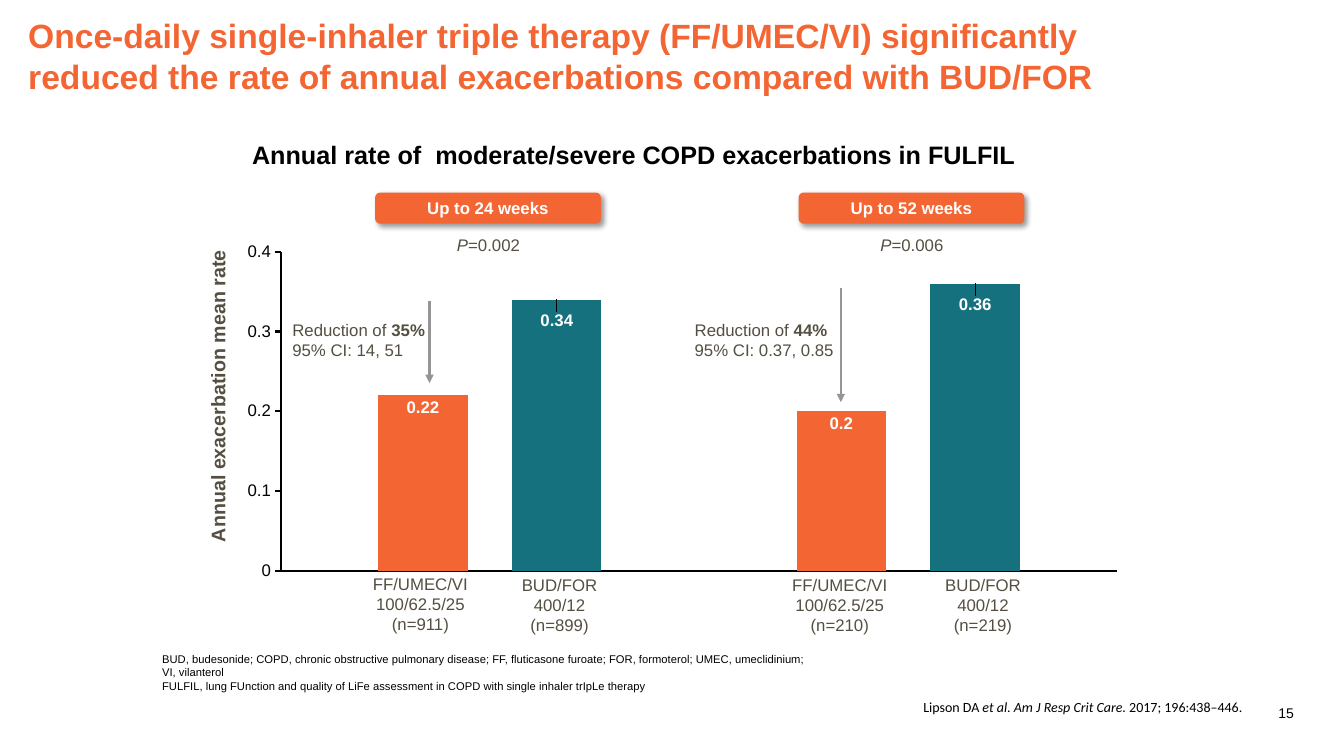
"""Build a slide comparing annual COPD exacerbation rates at 24 and 52 weeks."""
from dataclasses import dataclass
from typing import Any

from pptx import Presentation
from pptx.chart.data import CategoryChartData
from pptx.dml.color import RGBColor
from pptx.enum.chart import XL_CHART_TYPE as Kind, XL_LABEL_POSITION as Spot
from pptx.enum.chart import XL_TICK_LABEL_POSITION as Place, XL_TICK_MARK as Tick
from pptx.enum.shapes import MSO_CONNECTOR as Link, MSO_SHAPE as Form
from pptx.enum.text import MSO_ANCHOR as Anchor, MSO_AUTO_SIZE as Fit, PP_ALIGN as Align
from pptx.oxml import parse_xml
from pptx.oxml.ns import nsdecls
from pptx.util import Inches, Pt

Box = tuple[float, float, float, float]
Run = tuple[str, str]


@dataclass(frozen=True)
class Theme:
    orange: str = "F36633"
    teal: str = "15717D"
    text: str = "544F40"
    black: str = "000000"
    white: str = "FFFFFF"
    gray: str = "959595"
    font: str = "Arial"
    cite: str = "Calibri"
    title: int = 24
    head: int = 18
    axis: int = 14
    body: int = 12
    small: int = 10
    note: int = 8


@dataclass(frozen=True)
class Arm:
    box: Box
    lines: str


@dataclass(frozen=True)
class Period:
    pill: Box
    label: str
    prob: Box
    value: str
    drop: Box
    cut: str
    range: str
    arrow: Box
    arms: tuple[Arm, Arm]


THEME = Theme()
TRIPLE = "FF/UMEC/VI\n100/62.5/25\n(n={})"
DUAL = "BUD/FOR\n400/12\n(n={})"
PERIODS = (
    Period((3.72, 1.91, 2.24, 0.31), "Up to 24 weeks", (4.47, 2.31, 0.75, 0.24), "=0.002",
           (2.9, 3.15, 1.34, 0.44), "35% ", "95% CI: 14, 51", (4.26, 2.99, 4.26, 3.8),
           (Arm((3.69, 5.69, 0.96, 0.61), TRIPLE.format(911)),
            Arm((5.17, 5.7, 0.76, 0.61), DUAL.format(899)))),
    Period((7.92, 1.91, 2.24, 0.31), "Up to 52 weeks", (8.64, 2.31, 0.81, 0.24), "=0.006",
           (6.89, 3.15, 1.43, 0.44), "44% ", "95% CI: 0.37, 0.85", (8.34, 2.86, 8.34, 3.99),
           (Arm((7.85, 5.7, 0.96, 0.61), TRIPLE.format(210)),
            Arm((9.37, 5.7, 0.76, 0.61), DUAL.format(219)))),
)


def style(font: Any, size: int, color: str, bold: bool = False, name: str = THEME.font) -> None:
    font.size, font.bold, font.name = Pt(size), bold, name
    font.color.rgb = RGBColor.from_string(color)


def frame(shape: Any, pad: Box = (0, 0, 0, 0), anchor: Any = Anchor.TOP, wrap: bool = True) -> Any:
    text = shape.text_frame
    text.auto_size, text.word_wrap, text.vertical_anchor = Fit.NONE, wrap, anchor
    text.margin_left, text.margin_top, text.margin_right, text.margin_bottom = map(Inches, pad)
    return text


def write(text: Any, words: str, size: int, color: str, bold: bool = False,
          align: Any = Align.LEFT) -> None:
    text.text = words
    for para in text.paragraphs:
        para.alignment = align
        for run in para.runs:
            style(run.font, size, color, bold)


def mix(text: Any, runs: list[Run], size: int, color: str, align: Any, name: str = THEME.font) -> None:
    para = text.paragraphs[0]
    para.alignment = align
    for words, mark in runs:
        run = para.add_run()
        run.text = words
        style(run.font, size, color, mark == "b", name)
        run.font.italic = mark == "i"


def move(shape: Any, box: Box) -> Any:
    shape.left, shape.top, shape.width, shape.height = map(Inches, box)
    return shape


def label(slide: Any, box: Box) -> Any:
    return slide.shapes.add_textbox(*map(Inches, box))


def block(slide: Any, form: Any, box: Box, color: str) -> Any:
    shape = slide.shapes.add_shape(form, *map(Inches, box))
    shape.shadow.inherit = False
    shape.fill.solid()
    shape.fill.fore_color.rgb = RGBColor.from_string(color)
    shape.line.fill.background()
    return shape


def arrow(slide: Any, ends: Box) -> None:
    line = slide.shapes.add_connector(Link.STRAIGHT, *map(Inches, ends))
    line.line.width = Pt(1.5)
    line.line.color.rgb = RGBColor.from_string(THEME.gray)
    line.line._get_or_add_ln().append(parse_xml(f'<a:tailEnd {nsdecls("a")} type="triangle"/>'))
    line._element.spPr.append(parse_xml(f'<a:effectLst {nsdecls("a")}/>'))


def plain(para: Any) -> None:
    props = para._p.get_or_add_pPr()
    props.set("marL", "0")
    props.set("indent", "0")
    props.append(parse_xml(f'<a:buNone {nsdecls("a")}/>'))
    para.space_before = Pt(0)


def layout(inner: str) -> Any:
    return parse_xml(f'<c:layout {nsdecls("c")}><c:manualLayout>{inner}</c:manualLayout></c:layout>')


def graph(slide: Any) -> None:
    data = CategoryChartData()
    data.categories = ["1", "2"]
    data.add_series("Series 1", (0.22, 0.2))
    data.add_series("Series 2", (0.34, 0.36))
    box = map(Inches, (2.03, 2.31, 9.21, 4.83))
    chart = slide.shapes.add_chart(Kind.COLUMN_CLUSTERED, *box, data).chart
    chart.has_legend = chart.has_title = False
    style(chart.font, THEME.body, THEME.black)
    plot = chart.plots[0]
    plot.gap_width, plot.overlap, plot.vary_by_categories = 219, -50, False
    cat, val = chart.category_axis, chart.value_axis
    cat.tick_label_position = Place.NONE
    cat.major_tick_mark = Tick.NONE
    val.major_tick_mark = Tick.OUTSIDE
    val.minimum_scale, val.maximum_scale, val.major_unit = 0, 0.4, 0.1
    for axis in (cat, val):
        axis.has_major_gridlines = False
        axis.format.line.width = Pt(1.5)
        axis.format.line.color.rgb = RGBColor.from_string(THEME.black)
        style(axis.tick_labels.font, THEME.body, THEME.black)
    for series, color, spot in zip(plot.series, (THEME.orange, THEME.teal),
                                   (Spot.INSIDE_END, Spot.OUTSIDE_END)):
        series.format.fill.solid()
        series.format.fill.fore_color.rgb = RGBColor.from_string(color)
        tags = series.data_labels
        tags.show_value, tags.position = True, spot
        style(tags.font, THEME.body, THEME.white, True)
    dual = plot.series[1]
    for index in range(2):
        tag = dual.points[index].data_label
        style(tag.font, THEME.body, THEME.white, True)
        tag.position = Spot.OUTSIDE_END
    for item in dual._element.xpath(".//c:dLbl"):
        item.insert(1, layout('<c:x val="0"/><c:y val="0.07"/>'))
    dual._element.xpath("./c:dLbls")[0].append(parse_xml(
        f'<c:extLst {nsdecls("c")}><c:ext uri="{{CE6537A1-D6FC-4f65-9D91-7224C49458BB}}" '
        'xmlns:c15="http://schemas.microsoft.com/office/drawing/2012/chart">'
        '<c15:showLeaderLines val="1"/></c:ext></c:extLst>'))
    area = chart._chartSpace.chart.plotArea
    for old in area.xpath("./c:layout"):
        area.remove(old)
    sizes = zip("xywh", (0.082, 0.039, 0.901, 0.655))
    area.insert(0, layout('<c:layoutTarget val="inner"/><c:xMode val="edge"/><c:yMode val="edge"/>'
                          + "".join(f'<c:{key} val="{size}"/>' for key, size in sizes)))


def panel(slide: Any, item: Period) -> None:
    drop = frame(block(slide, Form.RECTANGLE, item.drop, THEME.white), (0, 0.02, 0, 0.02))
    mix(drop, [("Reduction of ", ""), (item.cut, "b"), (item.range, "")],
        THEME.body, THEME.text, Align.LEFT)
    for arm in item.arms:
        write(frame(label(slide, arm.box), wrap=False), arm.lines, THEME.body, THEME.text,
              align=Align.CENTER)
    prob = frame(label(slide, item.prob), (0, 0.02, 0, 0.02))
    mix(prob, [("P", "i"), (item.value, "")], THEME.body, THEME.text, Align.CENTER)
    arrow(slide, item.arrow)
    pill = block(slide, Form.ROUNDED_RECTANGLE, item.pill, THEME.orange)
    pill._element.spPr.xpath("./a:effectLst")[0].append(parse_xml(
        f'<a:outerShdw {nsdecls("a")} blurRad="50800" dist="38100" dir="2700000">'
        f'<a:srgbClr val="{THEME.black}"><a:alpha val="40000"/></a:srgbClr></a:outerShdw>'))
    write(frame(pill, anchor=Anchor.MIDDLE, wrap=False), item.label, THEME.body, THEME.white,
          True, Align.CENTER)


def main() -> None:
    deck = Presentation()
    deck.slide_width, deck.slide_height = Inches(13.33), Inches(7.5)
    slide = deck.slides.add_slide(deck.slide_layouts[3])
    title, head, cite = slide.placeholders
    write(frame(move(title, (0.28, 0.15, 11.1, 0.8)), anchor=Anchor.BOTTOM),
          "Once-daily single-inhaler triple therapy (FF/UMEC/VI) significantly reduced "
          "the rate of annual exacerbations compared with BUD/FOR", THEME.title, THEME.orange, True)
    text = frame(move(head, (2.5, 1.38, 8.51, 0.63)))
    write(text, "Annual rate of  moderate/severe COPD exacerbations in FULFIL",
          THEME.head, THEME.black, True)
    plain(text.paragraphs[0])
    text = frame(move(cite, (3.58, 6.57, 8.94, 0.73)), (0.2, 0.2, 0.2, 0.2), Anchor.BOTTOM)
    plain(text.paragraphs[0])
    text.paragraphs[0].line_spacing = 0.85
    mix(text, [("Lipson DA ", ""), ("et al. Am J Resp Crit Care. ", "i"),
               ("2017; 196:438–446.", "")], THEME.small, THEME.black, Align.RIGHT, THEME.cite)
    graph(slide)
    for item in PERIODS:
        panel(slide, item)
    side = label(slide, (0.7, 3.81, 2.92, 0.24))
    side.rotation = 270
    write(frame(side), "Annual exacerbation mean rate", THEME.axis, THEME.text, True, Align.CENTER)
    pad = (0.1, 0.05, 0.1, 0.05)
    write(frame(label(slide, (1.51, 6.42, 6.67, 0.5)), pad),
          "BUD, budesonide; COPD, chronic obstructive pulmonary disease; FF, fluticasone furoate; "
          "FOR, formoterol; UMEC, umeclidinium; VI, vilanterol\nFULFIL, lung FUnction and quality "
          "of LiFe assessment in COPD with single inhaler trIpLe therapy", THEME.note, THEME.black)
    write(frame(label(slide, (12.34, 6.94, 0.59, 0.3)), pad), "15", THEME.small, THEME.black,
          align=Align.RIGHT)
    deck.save("out.pptx")


if __name__ == "__main__":
    main()
